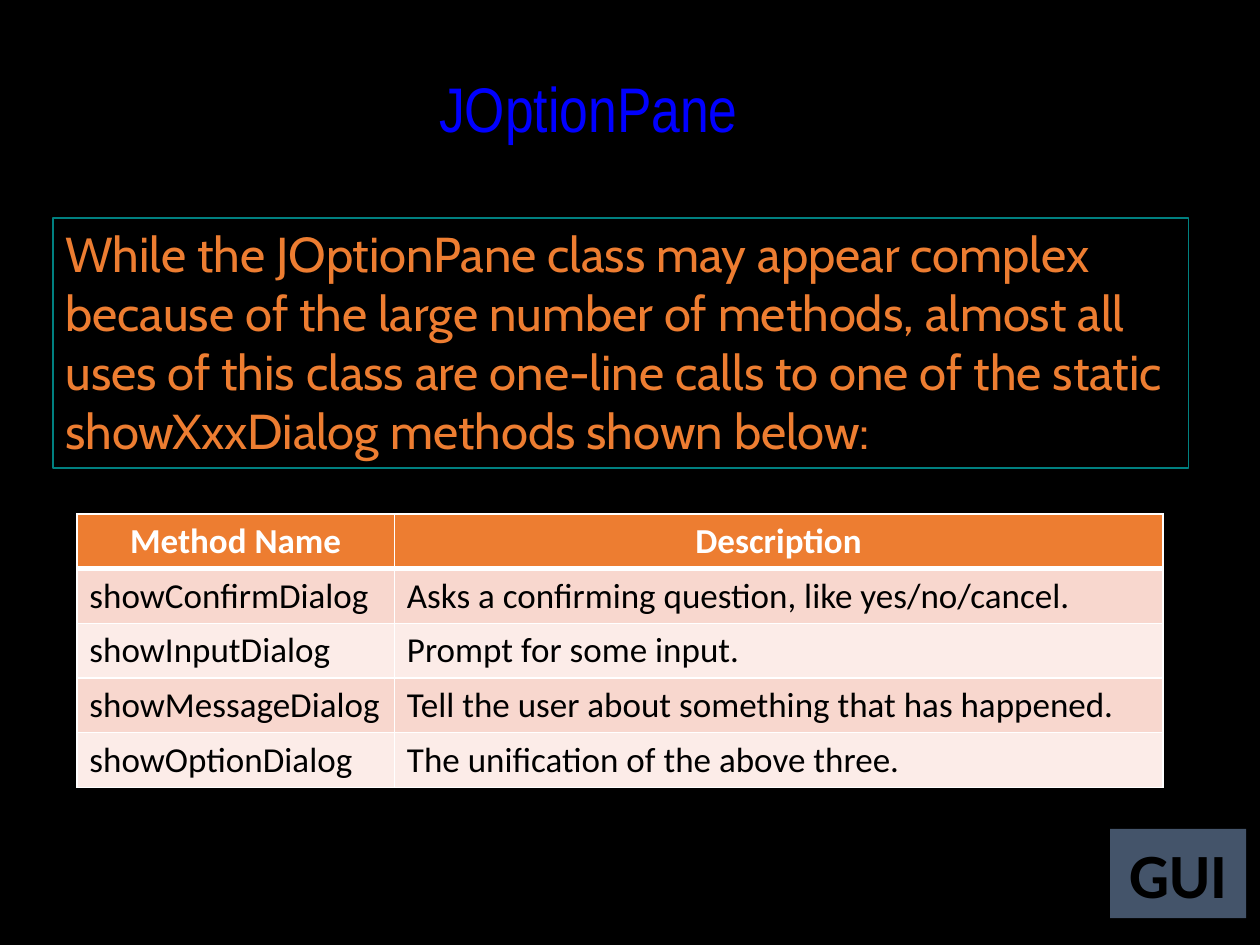
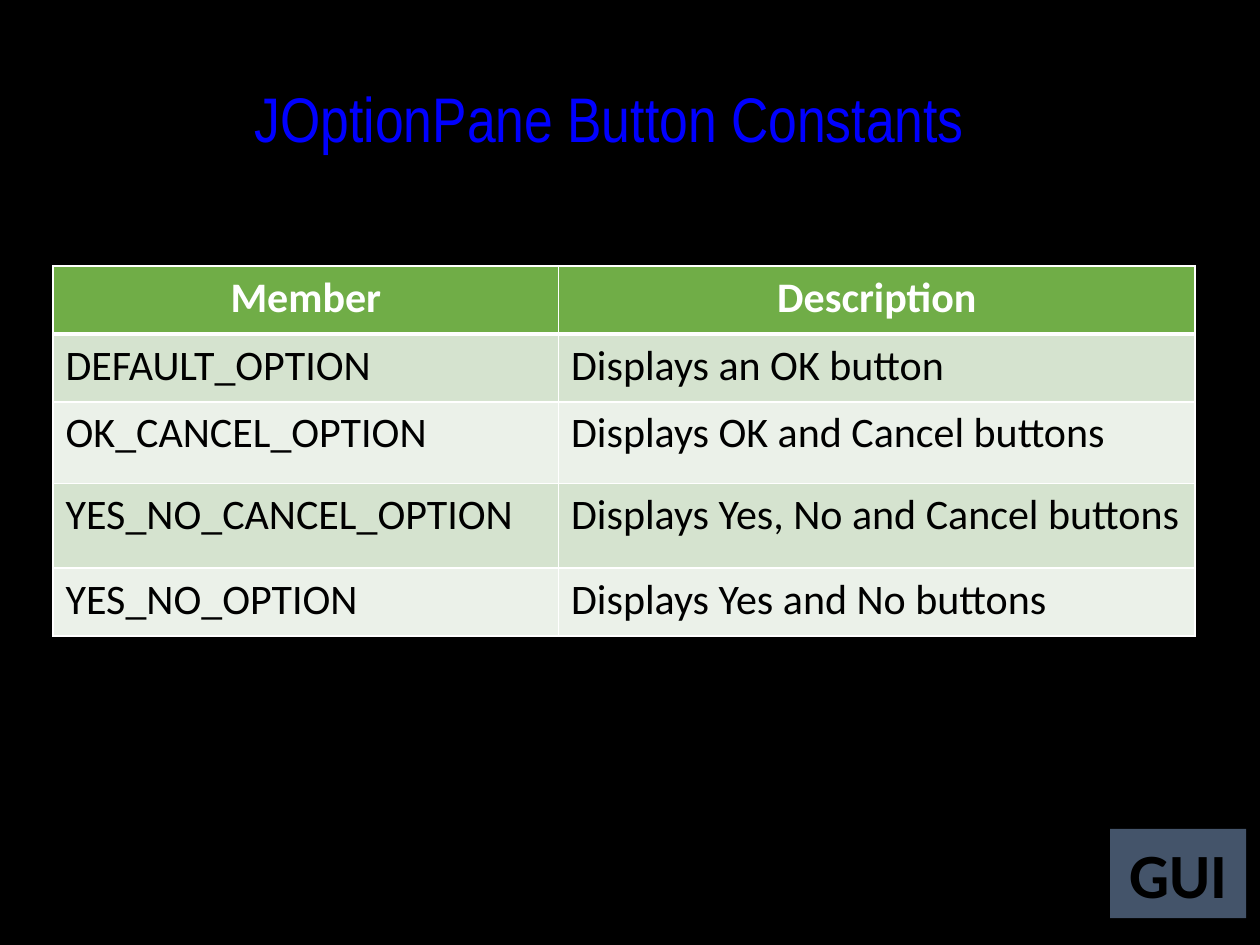
from lxml import etree
from pptx import Presentation
from pptx.dml.color import RGBColor
from pptx.enum.shapes import MSO_SHAPE
from pptx.enum.text import MSO_ANCHOR, PP_ALIGN
from pptx.oxml.ns import qn
from pptx.util import Cm, Pt

RECTANGLE = MSO_SHAPE.RECTANGLE
TOP, MIDDLE = MSO_ANCHOR.TOP, MSO_ANCHOR.MIDDLE
LEFT, CENTER = PP_ALIGN.LEFT, PP_ALIGN.CENTER

BLACK, WHITE = "000000", "FFFFFF"
TITLE_BLUE = "0000FF"
ORANGE, GREEN = "ED7D31", "70AD47"
TEAL, SLATE = "008080", "44546A"
TITLE_FONT, INTRO_FONT, TABLE_FONT = "Arial Narrow", "Cabin", "Calibri"

# Places are left, top, width, height in centimetres.
BADGE_PLACE = (22.38, 16.71, 2.74, 1.8)
INTRO_PLACE = (1.07, 4.39, 22.89, 5.05)

SLIDES = [
    {
        "title": "JOptionPane",
        "title_place": (3.61, 1.27, 16.51, 2.34),
        "intro": "While the JOptionPane class may appear complex because of the "
                 "large number of methods, almost all uses of this class are "
                 "one-line calls to one of the static showXxxDialog methods "
                 "shown below:",
        "table": {
            "corner": (1.55, 10.36),
            "columns": (6.4, 15.49),
            "row_heights": [1.1] * 5,
            "size": 20,
            "header_fill": ORANGE,
            "bands": ("F8D7CE", "FCECE8"),
            "rows": [
                ("Method Name", "Description"),
                ("showConfirmDialog", "Asks a confirming question, like yes/no/cancel."),
                ("showInputDialog", "Prompt for some input."),
                ("showMessageDialog", "Tell the user about something that has happened."),
                ("showOptionDialog", "The unification of the above three."),
            ],
        },
    },
    {
        "title": "JOptionPane Button Constants",
        "title_place": (2.34, 1.47, 19.89, 2.11),
        "intro": None,
        "table": {
            "corner": (1.07, 5.36),
            "columns": (10.19, 12.83),
            "row_heights": [1.37, 1.37, 1.65, 1.7, 1.37],
            "size": 24,
            "header_fill": GREEN,
            "bands": ("D5E3CF", "EBF1E9"),
            "rows": [
                ("Member", "Description"),
                ("DEFAULT_OPTION", "Displays an OK button"),
                ("OK_CANCEL_OPTION", "Displays OK and Cancel buttons"),
                ("YES_NO_CANCEL_OPTION", "Displays Yes, No and Cancel buttons"),
                ("YES_NO_OPTION", "Displays Yes and No buttons"),
            ],
        },
    },
]


def paint(fill, color):
    fill.solid()
    fill.fore_color.rgb = RGBColor.from_string(color)


def write(frame, text, font, size, color, align=LEFT, bold=False):
    paragraph = frame.paragraphs[0]
    paragraph.text = text
    paragraph.alignment = align
    paragraph.font.name = font
    paragraph.font.size = Pt(size)
    paragraph.font.bold = bold
    paragraph.font.color.rgb = RGBColor.from_string(color)


def add_rectangle(page, place, anchor):
    box = page.shapes.add_shape(RECTANGLE, *map(Cm, place))
    box.shadow.inherit = False
    box.text_frame.word_wrap = True
    box.text_frame.vertical_anchor = anchor
    return box


def add_badge(page):
    badge = add_rectangle(page, BADGE_PLACE, MIDDLE)
    paint(badge.fill, SLATE)
    badge.line.fill.background()
    write(badge.text_frame, "GUI", TABLE_FONT, 36, BLACK, CENTER, bold=True)


def add_title(page, text, place):
    box = page.shapes.add_textbox(*map(Cm, place))
    box.text_frame.word_wrap = False
    write(box.text_frame, text, TITLE_FONT, 36, TITLE_BLUE, CENTER)


def add_intro(page, text):
    box = add_rectangle(page, INTRO_PLACE, TOP)
    box.fill.background()
    paint(box.line.fill, TEAL)
    box.line.width = Pt(1)
    write(box.text_frame, text, INTRO_FONT, 28, ORANGE)


def set_borders(cell, widths):
    """Draw white borders; widths maps a side (L, R, T, B) to points."""
    properties = cell._tc.get_or_add_tcPr()
    for side, width in widths.items():
        line = etree.SubElement(properties, qn(f"a:ln{side}"), w=str(Pt(width)))
        fill = etree.SubElement(line, qn("a:solidFill"))
        etree.SubElement(fill, qn("a:srgbClr"), val=WHITE)


def add_method_table(page, content):
    rows, columns, heights = content["rows"], content["columns"], content["row_heights"]
    places = map(Cm, (*content["corner"], sum(columns), sum(heights)))
    table = page.shapes.add_table(len(rows), len(columns), *places).table
    for column, width in zip(table.columns, columns):
        column.width = Cm(width)
    for index, (row, height, texts) in enumerate(zip(table.rows, heights, rows)):
        row.height = Cm(height)
        header = index == 0
        fill = content["header_fill"] if header else content["bands"][(index - 1) % 2]
        borders = {"L": 1, "R": 1, "T": 3 if index == 1 else 1, "B": 3 if header else 1}
        for cell, text in zip(row.cells, texts):
            set_borders(cell, borders)
            paint(cell.fill, fill)
            write(cell.text_frame, text, TABLE_FONT, content["size"],
                  WHITE if header else BLACK, CENTER if header else LEFT, header)


def main():
    deck = Presentation()
    deck.slide_width, deck.slide_height = Cm(25.4), Cm(19.05)
    paint(deck.slide_master.background.fill, BLACK)
    blank = deck.slide_layouts[6]
    for content in SLIDES:
        page = deck.slides.add_slide(blank)
        add_badge(page)
        add_title(page, content["title"], content["title_place"])
        if content["intro"]:
            add_intro(page, content["intro"])
        add_method_table(page, content["table"])
    deck.save("out.pptx")


if __name__ == "__main__":
    main()
